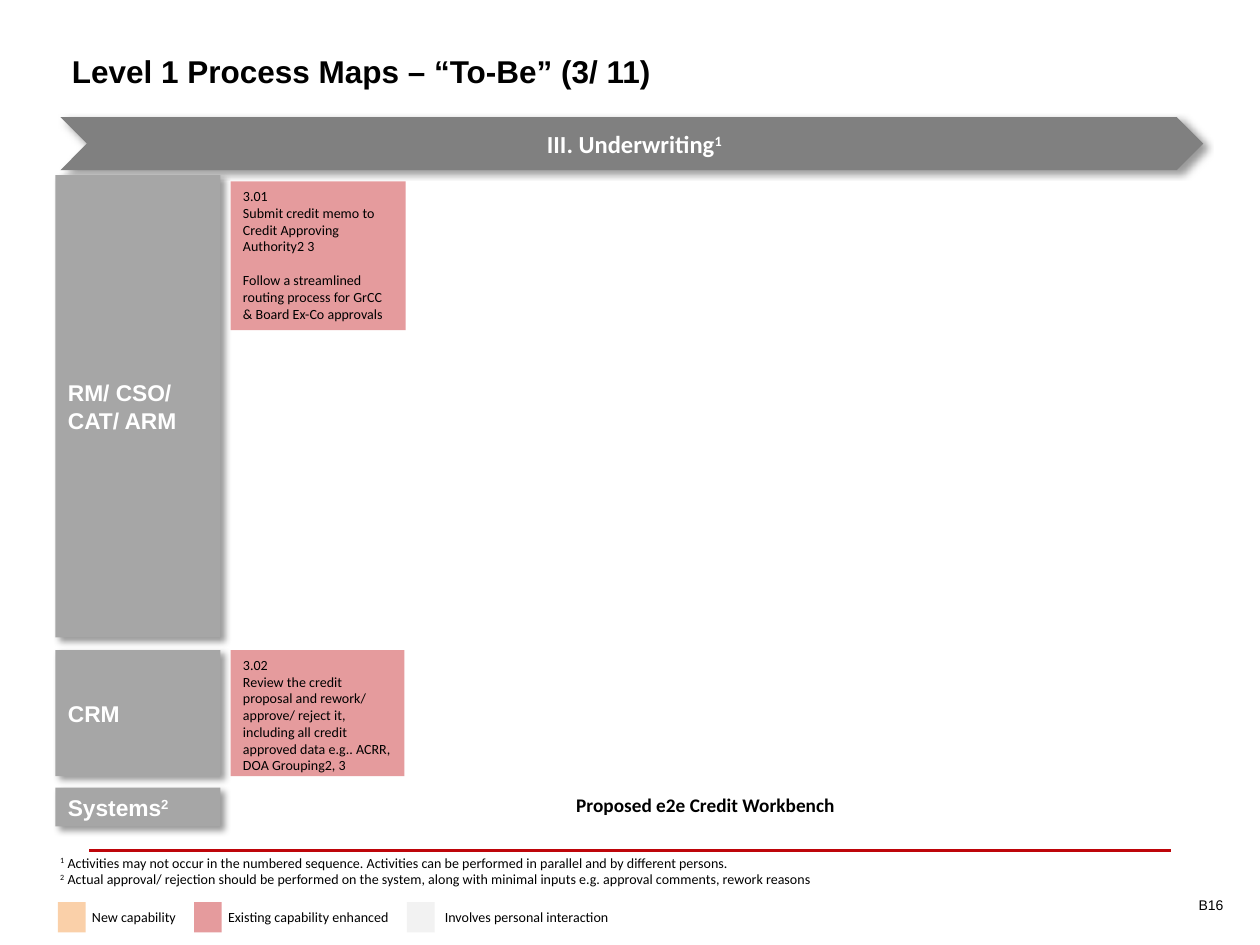
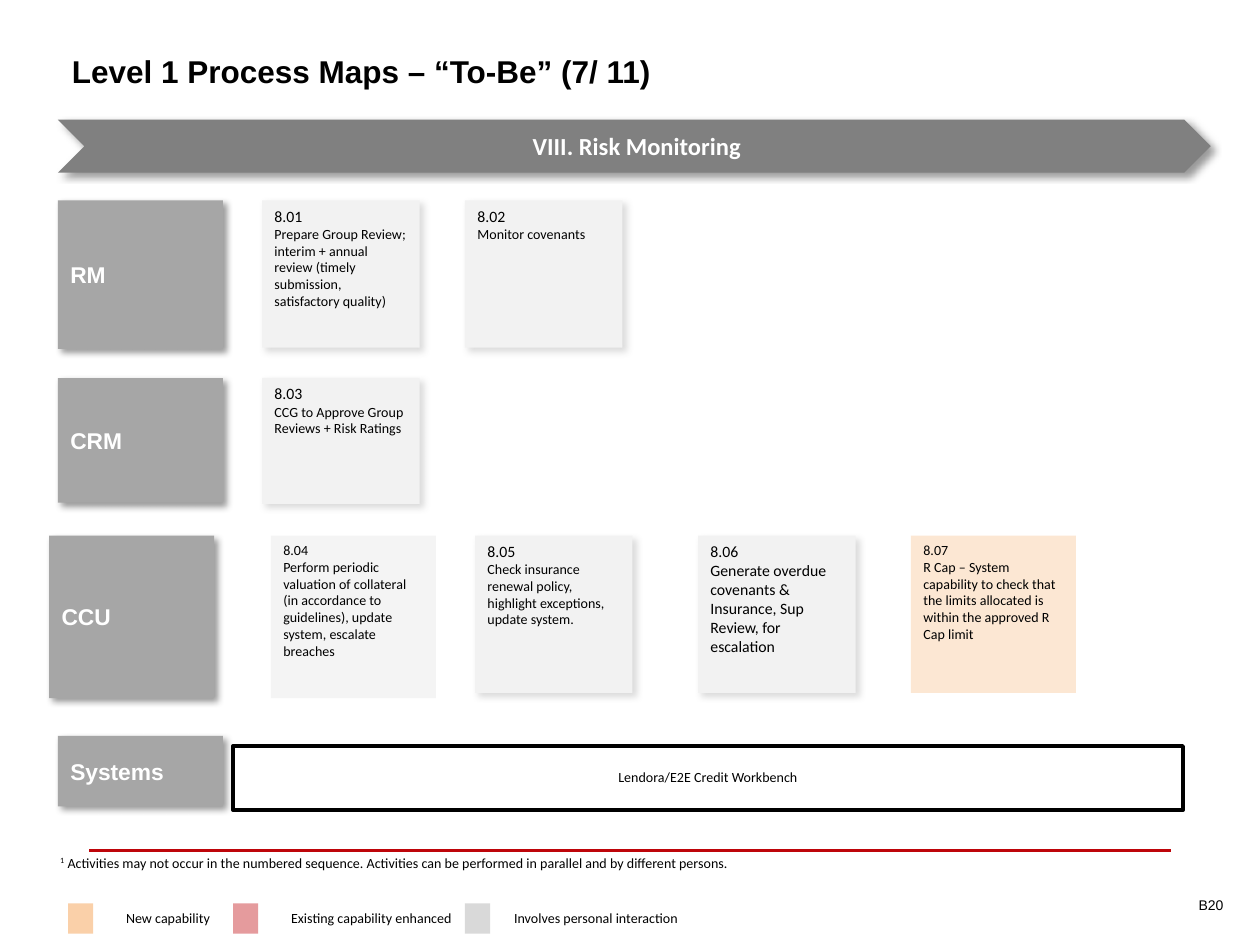
import pptx
import pptx.util
import pptx.dml.color
import pptx.enum.shapes
import pptx.enum.text
import pptx.oxml.ns
from lxml import etree
from dataclasses import dataclass, field, replace
from typing import Any, NamedTuple, Optional

Inches = pptx.util.Inches
Pt = pptx.util.Pt
Shape = pptx.enum.shapes.MSO_SHAPE
Align = pptx.enum.text.PP_ALIGN
Anchor = pptx.enum.text.MSO_ANCHOR
qn = pptx.oxml.ns.qn


# Colours and type sizes
@dataclass(frozen=True)
class Theme:
    head: str = "Arial"
    body: str = "Calibri"
    black: str = "000000"
    white: str = "FFFFFF"
    band: str = "808080"
    lane: str = "A6A6A6"
    rule: str = "BE050A"
    fresh: str = "FAD0A9"
    better: str = "E59B9D"
    person: str = "F2F2F2"
    faint: str = "EAEAEA"
    silver: str = "D9D9D9"
    title: float = 18
    banner: float = 14
    label: float = 13
    system: float = 11
    number: float = 9
    small: float = 8


T = Theme()


# How a box and its text look
@dataclass(frozen=True)
class Look:
    fill: Optional[str] = None
    alpha: int = 100
    shadow: Optional[str] = None
    line: Optional[str] = None
    shape: Any = Shape.RECTANGLE
    font: str = T.body
    color: str = T.black
    size: float = T.small
    first: Optional[float] = None
    bold: bool = False
    align: Any = Align.LEFT
    anchor: Any = Anchor.TOP
    inset: tuple = (0.1, 0.05, 0.1, 0.05)


PLAIN = Look(shape=None)
BAND = Look(T.band, shadow=T.black, shape=Shape.CHEVRON)
BANNER = Look(shape=None, color=T.white, size=T.banner, bold=True,
              align=Align.CENTER, anchor=Anchor.MIDDLE,
              inset=(0.06, 0.02, 0.02, 0.02))
LANE = Look(T.lane, shadow=T.black, font=T.head, color=T.white,
            size=T.label, bold=True, anchor=Anchor.MIDDLE)
TITLE = Look(font=T.head, size=T.title, bold=True, anchor=Anchor.MIDDLE)
PAGE = Look(shape=None, font=T.head, align=Align.RIGHT, anchor=Anchor.MIDDLE)
KEY = Look(shape=None, inset=(0, 0.05, 0, 0.05))
SYSTEM = Look(shape=None, size=T.system, bold=True, align=Align.CENTER,
              anchor=Anchor.MIDDLE, inset=(0.1, 0.03, 0.1, 0.05))
FRAME = replace(SYSTEM, shape=Shape.RECTANGLE, line=T.black,
                size=T.small, bold=False)
BETTER = Look(T.better)
PERSON = Look(T.person, shadow=T.lane, first=T.number)
LARGE = replace(PERSON, size=T.number)
FAINT = Look(T.faint, alpha=50)
FRESH = Look(T.fresh, alpha=50)


class Box(NamedTuple):
    at: tuple
    look: Look
    text: tuple = ()  # ^ marks off superscripts
    gap: float = 0    # space before the last paragraph


class Key(NamedTuple):
    color: str
    left: float
    text: float
    label: str


@dataclass
class Map:
    title: str
    page: str
    band: Box
    banner: str
    top: float
    swatch: float
    notes: tuple
    keys: list = field(default_factory=list)
    boxes: list = field(default_factory=list)


def rgb(code: str) -> Any:
    return pptx.dml.color.RGBColor.from_string(code)


def write(frame: Any, text: tuple, look: Look, gap: float = 0) -> None:
    names = ("margin_left", "margin_top", "margin_right", "margin_bottom")
    form = dict(zip(names, map(Inches, look.inset)))
    form.update(word_wrap=True, vertical_anchor=look.anchor,
                auto_size=pptx.enum.text.MSO_AUTO_SIZE.NONE)
    for name, value in form.items():
        setattr(frame, name, value)
    for i, line in enumerate(text):
        para = frame.paragraphs[0] if i == 0 else frame.add_paragraph()
        para.alignment = look.align
        if gap and i == len(text) - 1:
            para.space_before = Pt(gap)
        size = look.first if i == 0 and look.first else look.size
        style = {"name": look.font, "size": Pt(size), "bold": look.bold}
        for j, part in enumerate(line.split("^")):
            if not part:
                continue
            run = para.add_run()
            run.text = part
            for name, value in style.items():
                setattr(run.font, name, value)
            run.font.color.rgb = rgb(look.color)
            if j % 2:
                run._r.get_or_add_rPr().set("baseline", "30000")


def fade(color: Any, percent: int) -> None:
    etree.SubElement(color, qn("a:alpha")).set("val", str(percent * 1000))


def cast(shape: Any, code: str) -> None:
    effects = shape._element.spPr.find(qn("a:effectLst"))
    outer = etree.SubElement(effects, qn("a:outerShdw"))
    form = {"blurRad": Pt(4), "dist": Pt(3), "dir": 45 * 60000,
            "algn": "tl", "rotWithShape": 0}
    for name, value in form.items():
        outer.set(name, str(value))
    color = etree.SubElement(outer, qn("a:srgbClr"))
    color.set("val", code)
    fade(color, 40)


def draw(slide: Any, box: Box) -> None:
    look = box.look
    place = [Inches(n) for n in box.at]
    if look.shape is None:
        shape = slide.shapes.add_textbox(*place)
    else:
        shape = slide.shapes.add_shape(look.shape, *place)
        if look.fill:
            shape.fill.solid()
            shape.fill.fore_color.rgb = rgb(look.fill)
            if look.alpha < 100:
                fade(shape._element.spPr.find(".//" + qn("a:srgbClr")),
                     look.alpha)
        else:
            shape.fill.background()
        if look.line:
            shape.line.color.rgb = rgb(look.line)
            shape.line.width = Pt(2)
        else:
            shape.line.fill.background()
        shape.shadow.inherit = False
        if look.shadow:
            cast(shape, look.shadow)
    write(shape.text_frame, box.text, look, box.gap)


# Title, rule, footnotes, legend and page number
def base(slide: Any, chart: Map) -> None:
    title = slide.shapes.title
    spots = zip(("left", "top", "width", "height"), (0.47, 0.24, 9.07, 0.65))
    for name, value in spots:
        setattr(title, name, Inches(value))
    write(title.text_frame, (chart.title,), TITLE)

    rule = slide.shapes.add_connector(
        pptx.enum.shapes.MSO_CONNECTOR.STRAIGHT,
        Inches(0.71), Inches(6.75), Inches(9.29), Inches(6.75))
    rule.line.color.rgb = rgb(T.rule)
    rule.line.width = Pt(1.5)
    etree.SubElement(rule._element.spPr, qn("a:effectLst"))

    high = 0.11 + 0.13 * len(chart.notes)
    draw(slide, Box((0.38, 6.73, 6.46, high), PLAIN, chart.notes))
    for key in chart.keys:
        draw(slide, Box((key.left, chart.top, chart.swatch, 0.24),
                        Look(key.color)))
        draw(slide, Box((key.text, chart.top, 1.45, 0.24), KEY, (key.label,)))
    draw(slide, Box((8.64, 6.97, 1.17, 0.42), PAGE, (chart.page,)))


def build(deck: Any, chart: Map) -> None:
    slide = deck.slides.add_slide(deck.slide_layouts[5])
    base(slide, chart)
    draw(slide, chart.band)
    left, top, width, high = chart.band.at
    draw(slide, Box((left + 0.21, top, width - 0.42, high), BANNER,
                    (chart.banner,)))
    for box in chart.boxes:
        draw(slide, box)


def lane(left: float, top: float, high: float, name: str) -> Box:
    return Box((left, top, 1.31, high), LANE, (name,))


def step(left: float, top: float, high: float, num: str, text: str,
         look: Look = PERSON, width: float = 1.25) -> Box:
    return Box((left, top, width, high), look, (num, text))


def legend(lefts: tuple, texts: tuple, last: str) -> list:
    names = ("New capability", "Existing capability enhanced",
             "Involves personal interaction")
    return [Key(*row) for row in
            zip((T.fresh, T.better, last), lefts, texts, names)]


HEAD = "Level 1 Process Maps – “To-Be” ({}/ 11)"
ORDER = ("^1^ Activities may not occur in the numbered sequence. "
         "Activities can be performed in parallel and by different persons.")
ENTRY = ("^2^ Actual approval/ rejection should be performed on the system, "
         "along with minimal inputs e.g. approval comments, rework reasons")

# Underwriting
CREDIT = Map(
    HEAD.format(3), "B16", Box((0.48, 0.93, 9.07, 0.42), BAND),
    "III. Underwriting^1^", 7.16, 0.22, (ORDER, ENTRY),
    legend((0.46, 1.54, 3.23), (0.73, 1.81, 3.53), T.person),
    [lane(0.44, 1.39, 3.67, "RM/ CSO/ CAT/ ARM"),
     lane(0.44, 5.16, 1, "CRM"),
     lane(0.44, 6.25, 0.31, "Systems^2^"),
     Box((1.83, 6.22, 7.54, 0.35), SYSTEM,
         ("Proposed e2e Credit Workbench",)),
     step(1.83, 5.16, 1, "3.02",
          "Review the credit proposal and rework/ approve/ reject it, "
          "including all credit approved data e.g.. ACRR, DOA Grouping2, 3",
          BETTER, 1.38),
     Box((1.83, 1.44, 1.39, 1.18), BETTER,
         ("3.01", "Submit credit memo to Credit Approving Authority2 3",
          "Follow a streamlined routing process for GrCC & Board Ex-Co "
          "approvals"), 9.75)])

# Risk monitoring
RISK = Map(
    HEAD.format(7), "B20", Box((0.46, 0.95, 9.15, 0.42), BAND),
    "VIII. Risk Monitoring", 7.17, 0.2, (ORDER,),
    legend((0.54, 1.85, 3.69), (1, 2.31, 4.08), T.silver),
    [lane(0.46, 1.59, 1.18, "RM"),
     lane(0.46, 3, 0.99, "CRM"),
     lane(0.39, 4.25, 1.29, "CCU"),
     lane(0.46, 5.84, 0.56, "Systems"),
     Box((1.85, 5.92, 7.54, 0.51), FRAME, ("Lendora/E2E Credit Workbench",)),
     step(2.08, 1.59, 1.17, "8.01",
          "Prepare Group Review; interim + annual review (timely "
          "submission, satisfactory quality)"),
     step(3.69, 1.59, 1.17, "8.02", "Monitor covenants"),
     step(2.08, 3, 1, "8.03", "CCG to Approve Group Reviews + Risk Ratings"),
     step(2.15, 4.25, 1.29, "8.04",
          "Perform periodic valuation of collateral (in accordance to "
          "guidelines), update system, escalate breaches", FAINT, 1.31),
     step(3.77, 4.25, 1.25, "8.05",
          "Check insurance renewal policy, highlight exceptions, "
          "update system."),
     step(5.54, 4.25, 1.25, "8.06",
          "Generate overdue covenants & Insurance, Sup Review, for "
          "escalation", LARGE),
     step(7.23, 4.25, 1.25, "8.07",
          "R Cap – System capability to check that the limits allocated is "
          "within the approved R Cap limit", FRESH, 1.31)])


def main() -> None:
    deck = pptx.Presentation()
    deck.slide_width, deck.slide_height = Inches(10), Inches(7.5)
    for chart in (CREDIT, RISK):
        build(deck, chart)
    deck.save("out.pptx")


if __name__ == "__main__":
    main()
